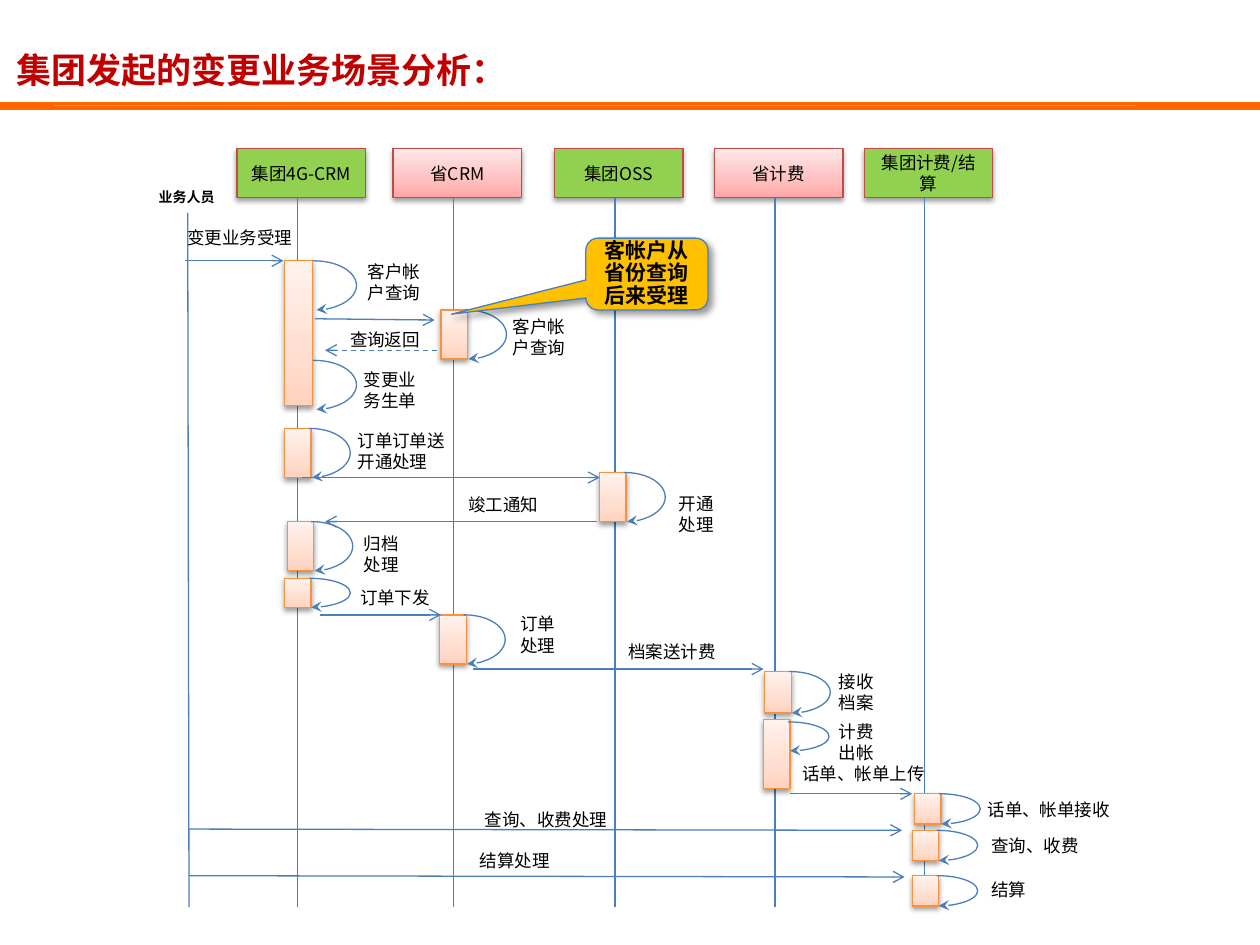
from dataclasses import dataclass
from typing import Optional

from lxml import etree
from pptx import Presentation
from pptx.dml.color import RGBColor
from pptx.enum.dml import MSO_LINE
from pptx.enum.shapes import MSO_CONNECTOR, MSO_SHAPE
from pptx.enum.text import MSO_ANCHOR, MSO_AUTO_SIZE, PP_ALIGN
from pptx.oxml import parse_xml
from pptx.oxml.ns import nsdecls, qn
from pptx.util import Cm, Pt

RECT, ARC = MSO_SHAPE.RECTANGLE, MSO_SHAPE.ARC
CALLOUT = MSO_SHAPE.ROUNDED_RECTANGULAR_CALLOUT
STRAIGHT, DASH = MSO_CONNECTOR.STRAIGHT, MSO_LINE.DASH
MIDDLE, CENTER = MSO_ANCHOR.MIDDLE, PP_ALIGN.CENTER
GROW, FIXED = MSO_AUTO_SIZE.SHAPE_TO_FIT_TEXT, MSO_AUTO_SIZE.NONE

FONT = "Noto Sans CJK SC"
BLACK = RGBColor(0x00, 0x00, 0x00)
TITLE_RED = RGBColor(0xC0, 0x00, 0x00)
ORANGE = RGBColor(0xFF, 0x66, 0x00)
PALE_BLUE = RGBColor(0x95, 0xB3, 0xD7)
BLUE = RGBColor(0x4B, 0x7E, 0xBC)
GREEN = RGBColor(0x92, 0xD0, 0x50)
HEAD_EDGE = RGBColor(0xBF, 0x4C, 0x48)
BAR_EDGE = RGBColor(0xF6, 0x92, 0x40)
AMBER = RGBColor(0xFF, 0xC0, 0x00)
# Gradients run from the bottom edge to the top edge
PINK = (RGBColor(0xFF, 0xA6, 0xA5), RGBColor(0xFF, 0xC0, 0xBF), RGBColor(0xFF, 0xE7, 0xE7))
PEACH = (RGBColor(0xFF, 0xD2, 0xBD), RGBColor(0xFF, 0xDE, 0xD0), RGBColor(0xFF, 0xF2, 0xED))
# Shadows: opacity %, blur pt, distance pt, direction in degrees
SOFT, SLANTED = (38, 3.1, 1.6, 90), (40, 4, 3, 45)


@dataclass
class Participant:
    name: str
    x: float
    fill: object
    bottom: float = 7.2


@dataclass
class Activation:
    x: float
    y: float
    h: float
    w: float = 0.21
    loops: Optional[tuple] = None  # (top, height) of each self-call
    loop_dx: float = -0.12
    loop_w: float = 0.64


@dataclass
class Message:
    x1: float
    y1: float
    x2: float
    y2: float
    dash: bool = False


@dataclass
class Label:
    text: str
    x: float
    y: float
    w: float
    h: float = 0.27
    size: float = 10
    bold: bool = False


PARTICIPANTS = [
    Participant("集团4G-CRM", 1.88, GREEN), Participant("省CRM", 3.12, PINK),
    Participant("集团OSS", 4.4, GREEN), Participant("省计费", 5.67, PINK),
    Participant("集团计费/结算", 6.86, GREEN, 7.06),
]
ACTIVATIONS = [
    Activation(2.26, 2.07, 1.15, 0.22, ((2.07, 0.39), (2.86, 0.39)), -0.1, 0.67),
    Activation(3.5, 2.46, 0.39), Activation(2.26, 3.4, 0.39),
    Activation(4.76, 3.75, 0.39), Activation(2.28, 4.14, 0.39),
    Activation(2.26, 4.59, 0.23), Activation(3.49, 4.88, 0.39),
    Activation(6.07, 5.33, 0.33), Activation(6.06, 5.71, 0.55, loops=((5.73, 0.23),)),
    Activation(7.26, 6.3, 0.24), Activation(7.24, 6.59, 0.24), Activation(7.24, 6.95, 0.24),
]
MESSAGES = [
    Message(1.47, 2.07, 2.25, 2.07), Message(2.5, 2.53, 3.45, 2.54),
    Message(3.47, 2.78, 2.58, 2.78, True), Message(2.4, 3.79, 4.76, 3.79),
    Message(4.74, 4.14, 2.58, 4.14), Message(2.54, 4.88, 3.5, 4.88),
    Message(3.75, 5.31, 6.06, 5.31), Message(6.27, 6.3, 7.24, 6.3),
    Message(1.5, 6.58, 7.16, 6.59), Message(1.5, 6.95, 7.18, 6.96),
]
LABELS = [
    Label("业务人员", 1.16, 1.45, 0.71, 0.24, 8, True),
    Label("变更业务受理", 1.39, 1.75, 1.15), Label("客户帐户查询", 2.82, 2.02, 0.63, 0.44),
    Label("客户帐户查询", 3.97, 2.46, 0.63, 0.44), Label("查询返回", 2.68, 2.56, 0.94),
    Label("变更业务生单", 2.79, 2.88, 0.68, 0.44),
    Label("订单订单送开通处理", 2.74, 3.36, 0.97, 0.44),
    Label("竣工通知", 3.62, 3.87, 0.89), Label("开通处理", 5.29, 3.86, 0.57, 0.44),
    Label("归档处理", 2.79, 4.18, 0.6, 0.44), Label("订单下发", 2.76, 4.61, 0.94),
    Label("订单处理", 4.03, 4.82, 0.58, 0.44), Label("档案送计费", 4.89, 5.04, 0.94),
    Label("接收档案", 6.56, 5.28, 0.57, 0.44), Label("计费出帐", 6.56, 5.67, 0.57, 0.44),
    Label("话单、帐单上传", 6.27, 6.01, 1.39), Label("话单、帐单接收", 7.74, 6.29, 1.3),
    Label("查询、收费处理", 3.75, 6.37, 1.21), Label("查询、收费", 7.77, 6.58, 1.03),
    Label("结算处理", 3.71, 6.7, 0.76), Label("结算", 7.77, 6.93, 0.69),
]


def cm(*inches: float) -> list:
    return [Cm(v * 2.54) for v in inches]


def add_effects(sp, shadow: Optional[tuple]) -> None:
    spPr = sp._element.spPr
    effects = spPr.find(qn("a:effectLst"))
    if effects is None:
        effects = etree.SubElement(spPr, qn("a:effectLst"))
    if shadow:
        alpha, blur, dist, angle = shadow
        effects.append(parse_xml(
            f'<a:outerShdw {nsdecls("a")} blurRad="{Pt(blur)}" dist="{Pt(dist)}" '
            f'dir="{angle * 60000}" rotWithShape="0"><a:srgbClr val="000000">'
            f'<a:alpha val="{alpha * 1000}"/></a:srgbClr></a:outerShdw>'))


def add_head(sp, kind: str) -> None:
    ln = sp._element.spPr.find(qn("a:ln"))
    etree.SubElement(ln, qn("a:tailEnd"), type=kind)


def set_fill(sp, fill) -> None:
    if fill is None:
        sp.fill.background()
    elif isinstance(fill, RGBColor):
        sp.fill.solid()
        sp.fill.fore_color.rgb = fill
    else:
        sp.fill.gradient()
        spPr = sp._element.spPr
        stops = "".join(f'<a:gs pos="{pos}"><a:srgbClr val="{c}"/></a:gs>'
                        for pos, c in zip((0, 35000, 100000), fill))
        spPr.replace(spPr.find(qn("a:gradFill")), parse_xml(
            f'<a:gradFill {nsdecls("a")} rotWithShape="1"><a:gsLst>{stops}</a:gsLst>'
            f'<a:lin ang="16200000" scaled="0"/></a:gradFill>'))


def add_shape(s, kind, box: tuple, fill, edge: RGBColor, shadow: Optional[tuple] = None):
    sp = s.shapes.add_shape(kind, *cm(*box))
    sp.shadow.inherit = False
    set_fill(sp, fill)
    sp.line.color.rgb, sp.line.width = edge, Pt(0.75)
    add_effects(sp, shadow)
    return sp


def add_line(s, ends: tuple, color: RGBColor = BLUE, width: float = 0.75, shadow=None):
    c = s.shapes.add_connector(STRAIGHT, *cm(*ends))
    c.line.color.rgb, c.line.width = color, Pt(width)
    add_effects(c, shadow)
    return c


def write(sp, text: str, size: float, bold: bool = False, color: RGBColor = BLACK,
          frame: Optional[dict] = None, para: Optional[dict] = None) -> None:
    tf = sp.text_frame
    p = tf.paragraphs[0]
    r = p.add_run()
    r.text = text
    r.font.color.rgb = color
    for target, values in ((tf, {"word_wrap": True, **(frame or {})}), (p, para or {}),
                           (r.font, {"name": FONT, "size": Pt(size), "bold": bold})):
        for key, value in values.items():
            setattr(target, key, value)
    etree.SubElement(r.font._element, qn("a:ea"), typeface=FONT)


def main() -> None:
    prs = Presentation()
    prs.slide_width, prs.slide_height = cm(10, 7.5)
    s = prs.slides.add_slide(prs.slide_layouts[6])

    # Title and rule
    add_line(s, (0, 0.84, 10, 0.84), ORANGE, 4.5)
    add_line(s, (0.43, 0.84, 9.02, 0.84), PALE_BLUE, shadow=SLANTED)
    write(s.shapes.add_textbox(*cm(0.03, 0.21, 9.57, 0.71)), "集团发起的变更业务场景分析：",
          20, True, TITLE_RED, {"vertical_anchor": MIDDLE, "auto_size": FIXED},
          {"line_spacing": 0.95})

    # Participants and lifelines
    add_line(s, (1.49, 1.69, 1.5, 7.2))
    for part in PARTICIPANTS:
        sp = add_shape(s, RECT, (part.x, 1.18, 1.02, 0.39), part.fill, HEAD_EDGE, SOFT)
        write(sp, part.name, 10, frame={"vertical_anchor": MIDDLE}, para={"alignment": CENTER})
        add_line(s, (part.x + 0.48, 1.57, part.x + 0.48, part.bottom))

    # Activation bars with self-calls
    for a in ACTIVATIONS:
        add_shape(s, RECT, (a.x, a.y, a.w, a.h), PEACH, BAR_EDGE, SOFT)
        for top, height in a.loops or ((a.y, a.h),):
            sp = add_shape(s, ARC, (a.x + a.loop_dx, top, a.loop_w, height), None, BLUE)
            sp.adjustments[0], sp.adjustments[1] = 160.176, 50.889
            add_head(sp, "stealth")

    # Messages and labels
    for m in MESSAGES:
        c = add_line(s, (m.x1, m.y1, m.x2, m.y2))
        if m.dash:
            c.line.dash_style = DASH
        add_head(c, "arrow")
    for b in LABELS:
        write(s.shapes.add_textbox(*cm(b.x, b.y, b.w, b.h)), b.text, b.size, b.bold,
              frame={"auto_size": GROW})

    # Callout
    sp = add_shape(s, CALLOUT, (4.65, 1.89, 0.97, 0.57), AMBER, BLUE, SLANTED)
    for i, value in enumerate((-1.6, 0.56, 0.17)):
        sp.adjustments[i] = value
    write(sp, "客帐户从省份查询后来受理", 12, True, frame={"vertical_anchor": MIDDLE},
          para={"alignment": CENTER, "line_spacing": 0.9})

    prs.save("out.pptx")


if __name__ == "__main__":
    main()
